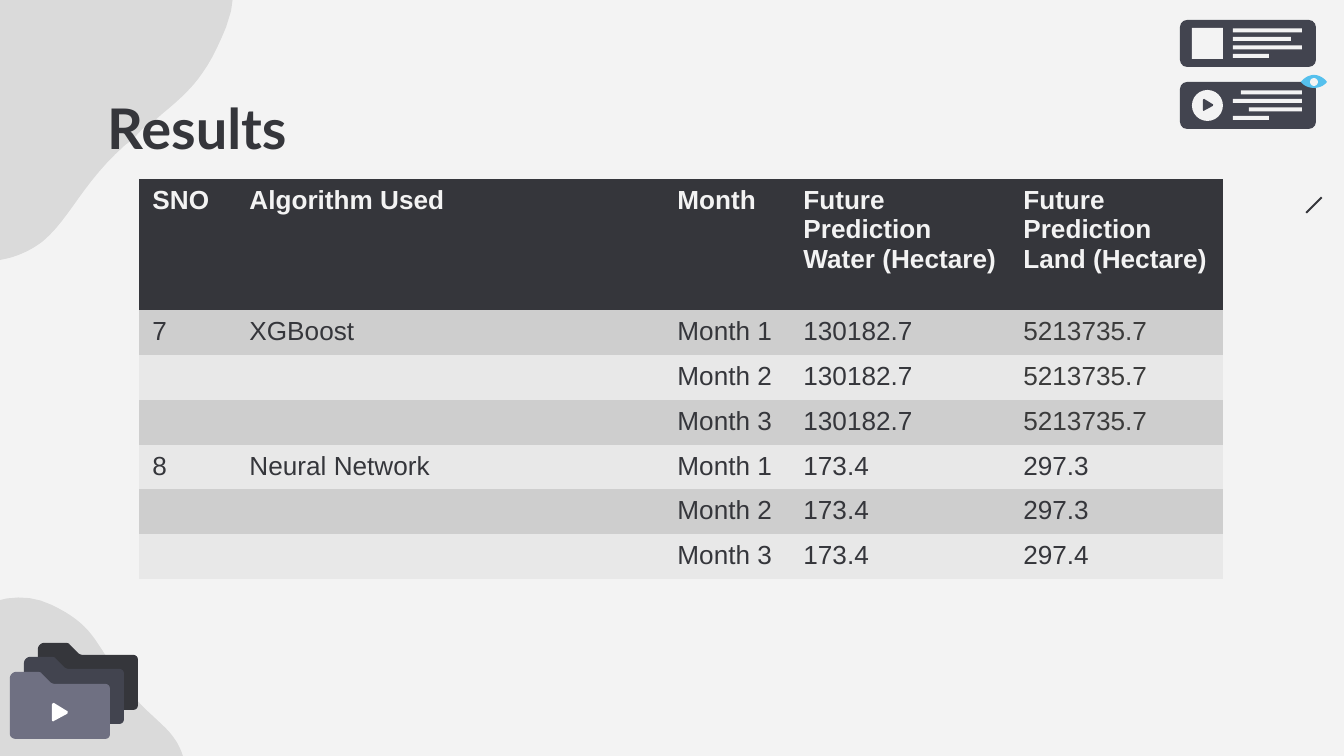
from math import cos, radians, sin

from lxml import etree
from pptx import Presentation
from pptx import util as u
from pptx.dml.color import RGBColor
from pptx.enum import shapes, text
from pptx.oxml.ns import qn


class Theme:
    paper, ink, slate, steel = "F3F3F3", "35363B", "42444F", "6F7082"
    white, black, eye, land = "FFFFFF", "000000", "55C0ED", "3B3B3B"
    bands = ("CECECE", "E8E8E8")
    title_font, table_font = "Lato", "Arial"
    title_size, table_size = u.Pt(30), u.Pt(14)
    no_grid = "{2D5ABB26-0587-4C30-8999-92F81FD0307C}"


PX = u.Inches(10) / 1344
SHAPE = shapes.MSO_SHAPE

deck = Presentation()
deck.slide_width = round(1344 * PX)
deck.slide_height = round(756 * PX)
page = deck.slides.add_slide(deck.slide_layouts[6])
page.background.fill.solid()
page.background.fill.fore_color.rgb = RGBColor.from_string(Theme.paper)


def preset(kind, colour, left, top, width, height):
    shape = page.shapes.add_shape(kind, *(round(v * PX) for v in (left, top, width, height)))
    shape.shadow.inherit = False
    shape.fill.solid()
    shape.fill.fore_color.rgb = RGBColor.from_string(colour)
    shape.line.fill.background()
    return shape


def outline(colour, steps, origin=(0, 0), size=1, turn=0, centre=(0, 0)):
    points = [steps[0]]
    for step in steps[1:]:
        if len(step) == 2:
            points.append(step)
            continue
        ax, ay = points[-1]
        bx, by, cx, cy, dx, dy = step
        for t in (n / 12 for n in range(1, 13)):
            s = 1 - t
            a, b, c, d = s**3, 3 * s * s * t, 3 * s * t * t, t**3
            points.append((a * ax + b * bx + c * cx + d * dx, a * ay + b * by + c * cy + d * dy))
    cosine, sine = cos(radians(-turn)), sin(radians(-turn))
    placed = []
    for x, y in points:
        x, y = x * size + origin[0] - centre[0], y * size + origin[1] - centre[1]
        placed.append(((x * cosine - y * sine + centre[0]) * PX, (x * sine + y * cosine + centre[1]) * PX))
    builder = page.shapes.build_freeform(*placed[0])
    builder.add_line_segments(placed[1:], close=True)
    shape = builder.convert_to_shape()
    shape.shadow.inherit = False
    shape.fill.solid()
    shape.fill.fore_color.rgb = RGBColor.from_string(colour)
    shape.line.fill.background()
    shape.rotation = turn
    return shape


top_blob = [
    (-38, -75), (-56, -60, -78, -38, -91, -8), (-124, 60, -110, 130, -101, 188),
    (-91, 246, -46, 274, 9, 259), (23, 255, 34, 249, 43, 242),
    (70, 219, 83, 183, 125, 146), (132, 141, 137, 136, 142, 130),
    (151, 125, 156, 120, 163, 114), (191, 91, 207, 75, 226, 28),
    (251, -36, 210, -103, 136, -117), (62, -132, 7, -105, 7, -105),
    (7, -105, -20, -95, -38, -75),
]
bottom_blob = [
    (-59, 780), (-51, 794, -38, 809, -19, 821), (26, 847, 77, 841, 120, 837),
    (161, 835, 188, 805, 185, 766), (184, 757, 181, 750, 177, 743),
    (165, 723, 141, 712, 122, 681), (118, 676, 116, 672, 113, 668),
    (110, 663, 108, 659, 105, 655), (91, 633, 83, 621, 52, 606),
    (9, 585, -44, 610, -65, 660), (-85, 710, -74, 749, -74, 749),
    (-74, 749, -70, 762, -59, 780),
]
for steps, turn, centre in ((top_blob, 320.3, (42, 51)), (bottom_blob, 238.4, (42, 733))):
    blob = outline(Theme.black, steps, turn=turn, centre=centre)
    tint = blob._element.spPr.find(qn("a:solidFill"))[0]
    etree.SubElement(tint, qn("a:alpha"), val="10000")

folder = [
    (32, 2), (40, 10), (41, 11, 43, 12, 45, 12), (95, 12), (98, 12, 100, 14, 100, 17),
    (100, 62), (100, 65, 98, 67, 95, 67), (6, 67), (3, 67, 0, 65, 0, 62),
    (0, 6), (0, 3, 3, 0, 6, 0), (27, 0), (29, 0, 31, 0, 32, 2),
]
for origin, colour in (((38, 643), Theme.ink), ((24, 657), Theme.slate), ((10, 672), Theme.steel)):
    outline(colour, folder, origin)

play = [
    (0, 2), (0, 17), (0, 18, 1, 19, 2, 18), (15, 11), (16, 10, 16, 8, 15, 8),
    (2, 0), (1, 0, 0, 1, 0, 2),
]
outline(Theme.white, play, (52, 703))

title = page.shapes.add_textbox(*(round(v * PX) for v in (94, 26, 413, 148)))
box = title.text_frame
box.word_wrap = True
box.vertical_anchor = text.MSO_ANCHOR.BOTTOM
box.margin_left = box.margin_right = box.margin_top = box.margin_bottom = u.Inches(0.1)
span = box.paragraphs[0].add_run()
span.text = "Results"
span.font.name, span.font.size, span.font.bold = Theme.title_font, Theme.title_size, True
span.font.color.rgb = RGBColor.from_string(Theme.ink)

cards = (
    (20, SHAPE.RECTANGLE, ((1233, 69), (1233, 58), (1233, 69), (1233, 36))),
    (82, SHAPE.OVAL, ((1241, 61), (1233, 69), (1249, 53), (1233, 36))),
)
for top, tile, bars in cards:
    card = preset(SHAPE.ROUNDED_RECTANGLE, Theme.slate, 1180, top, 136, 47)
    card.adjustments[0] = 0.15
    preset(tile, Theme.paper, 1192, top + 8, 31, 31)
    for row, (left, width) in enumerate(bars):
        preset(SHAPE.RECTANGLE, Theme.paper, left, top + 8.5 + 8.5 * row, width, 4)
outline(Theme.slate, play, (1203, 99), size=0.64)

eye = [(13, 13), (18, 13, 23, 11, 26, 7), (23, 3, 18, 0, 13, 0), (8, 0, 3, 3, 0, 7), (3, 11, 8, 13, 13, 13)]
outline(Theme.eye, eye, (1301, 75))
preset(SHAPE.OVAL, Theme.paper, 1310, 78, 8, 8)
slash = preset(SHAPE.RECTANGLE, Theme.ink, 1303, 204, 22, 2)
slash.rotation = 315

rows = [
    ("SNO", "Algorithm Used", "Month", "Future Prediction Water (Hectare)", "Future Prediction Land (Hectare)"),
    ("7", "XGBoost", "Month 1", "130182.7", "5213735.7"),
    ("", "", "Month 2", "130182.7", "5213735.7"),
    ("", "", "Month 3", "130182.7", "5213735.7"),
    ("8", "Neural Network", "Month 1", "173.4", "297.3"),
    ("", "", "Month 2", "173.4", "297.3"),
    ("", "", "Month 3", "173.4", "297.4"),
]
widths = (97, 428, 126, 220, 213)
heights = (131,) + (43,) * 6
frame = page.shapes.add_table(
    len(rows), len(widths), *(round(v * PX) for v in (139, 179, sum(widths), sum(heights)))
)
table = frame.table
table.horz_banding = False
table._tbl.tblPr.find(qn("a:tableStyleId")).text = Theme.no_grid
for column, width in zip(table.columns, widths):
    column.width = round(width * PX)
for r, (values, height) in enumerate(zip(rows, heights)):
    table.rows[r].height = round(height * PX)
    for c, value in enumerate(values):
        cell = table.cell(r, c)
        cell.fill.solid()
        cell.fill.fore_color.rgb = RGBColor.from_string(Theme.bands[(r - 1) % 2] if r else Theme.ink)
        para = cell.text_frame.paragraphs[0]
        if not value:
            etree.SubElement(para._p, qn("a:endParaRPr"), sz=str(Theme.table_size.centipoints))
            continue
        span = para.add_run()
        span.text = value
        span.font.name, span.font.size, span.font.bold = Theme.table_font, Theme.table_size, r == 0
        body = Theme.land if c == 4 and r < 4 else Theme.ink
        span.font.color.rgb = RGBColor.from_string(body if r else Theme.paper)

deck.save("out.pptx")
